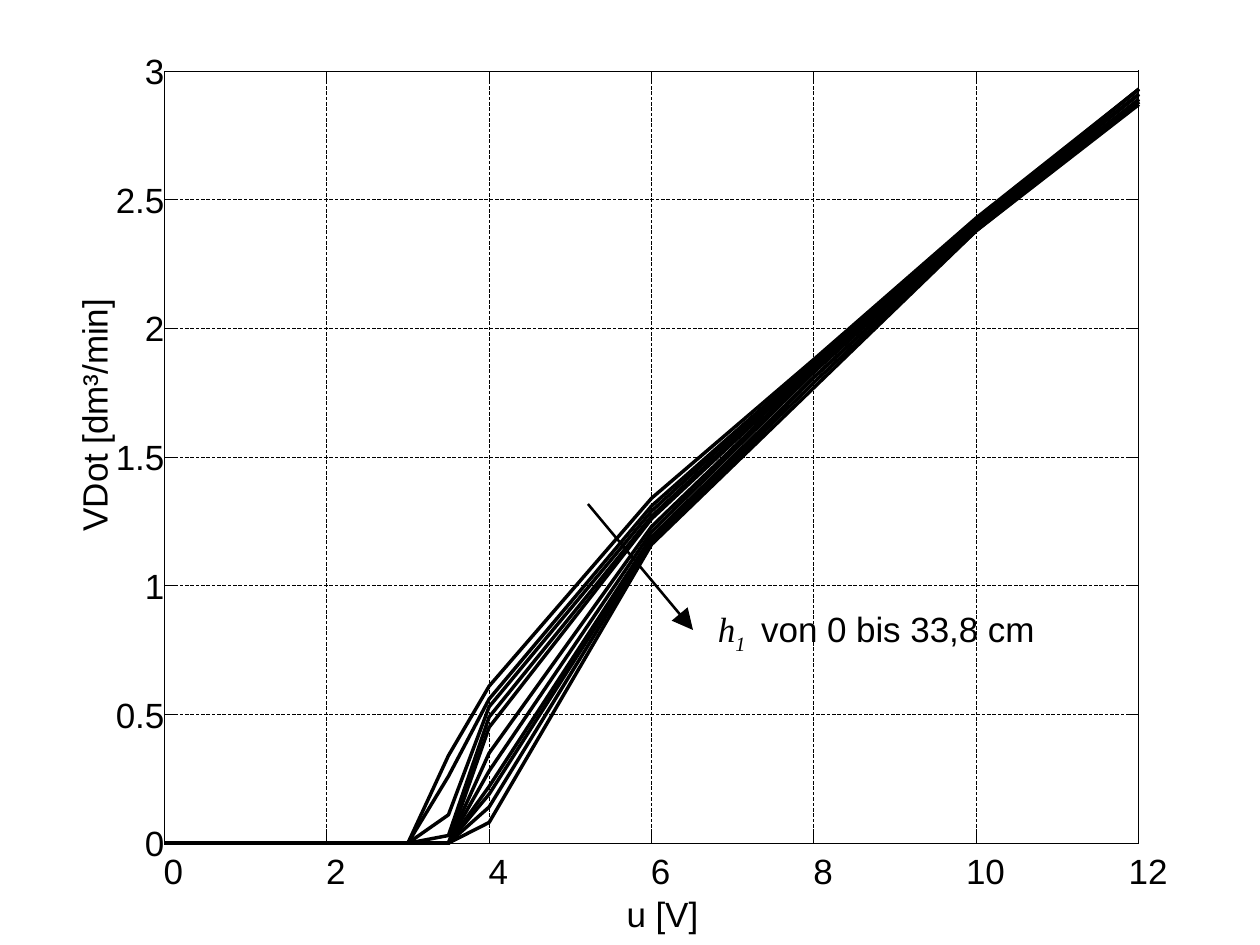
from dataclasses import dataclass
from lxml.etree import SubElement
from pptx import Presentation
from pptx.dml.color import RGBColor
from pptx.enum.dml import MSO_LINE
from pptx.enum.shapes import MSO_CONNECTOR, MSO_SHAPE
from pptx.enum.text import MSO_AUTO_SIZE, PP_ALIGN
from pptx.oxml.ns import qn
from pptx.util import Pt

VOLTS = [0, 2, 3, 3.5, 4, 6, 8, 10, 12]
FLOWS = [
    [0, 0, 0, 0.34, 0.61, 1.34, 1.88, 2.43, 2.93],
    [0, 0, 0, 0.26, 0.56, 1.31, 1.87, 2.42, 2.93],
    [0, 0, 0, 0.11, 0.53, 1.29, 1.87, 2.42, 2.93],
    [0, 0, 0, 0.03, 0.49, 1.27, 1.86, 2.42, 2.91],
    [0, 0, 0, 0, 0.45, 1.26, 1.85, 2.41, 2.91],
    [0, 0, 0, 0, 0.35, 1.23, 1.84, 2.4, 2.91],
    [0, 0, 0, 0, 0.28, 1.21, 1.83, 2.4, 2.89],
    [0, 0, 0, 0, 0.22, 1.19, 1.81, 2.39, 2.89],
    [0, 0, 0, 0, 0.19, 1.18, 1.81, 2.39, 2.88],
    [0, 0, 0, 0, 0.14, 1.17, 1.79, 2.38, 2.88],
    [0, 0, 0, 0, 0.08, 1.16, 1.77, 2.38, 2.87],
]
X_TICKS = ["0", "2", "4", "6", "8", "10", "12"]
Y_TICKS = ["0", "0.5", "1", "1.5", "2", "2.5", "3"]
X_TITLE = "u [V]"
Y_TITLE = "VDot [dm³/min]"


@dataclass
class Theme:
    ink: RGBColor = RGBColor(0, 0, 0)
    paper: RGBColor = RGBColor(255, 255, 255)
    sans: str = "Arial"
    serif: str = "Times New Roman"
    size: float = 10
    gap_size: float = 18
    hair: float = 0
    arrow: float = 0.75
    curve: float = 1


T = Theme()
NOTE = [
    ("h", dict(font=T.serif, italic=True)),
    ("1", dict(font=T.serif, italic=True, baseline=-25000)),
    (" ", dict(font=T.serif, size=T.gap_size)),
    ("von 0 bis 33,8 cm", {}),
]
LEFT, TOP, RIGHT, BOTTOM = 46.9, 20.3, 325.4, 240.9
TICK = 2.8
LABEL_H = 12.2


def px(volts):
    return LEFT + (RIGHT - LEFT) * volts / 12


def py(flow):
    return BOTTOM - (BOTTOM - TOP) * flow / 3


def label_width(text):
    return 2 + sum(2.78 if ch == "." else 5.56 for ch in text)


def add_run(p, text, font=T.sans, size=T.size, italic=False, baseline=0):
    r = p.add_run()
    r.text = text
    r.font.name, r.font.size, r.font.italic = font, Pt(size), italic
    r.font.color.rgb = T.ink
    if baseline:
        r.font._element.set("baseline", str(baseline))


def add_text(s, runs, x, y, w, h=LABEL_H, inset=(0, 0), rotation=0, align=PP_ALIGN.LEFT):
    sp = s.shapes.add_textbox(Pt(x), Pt(y), Pt(w), Pt(h))
    sp.rotation = rotation
    tf = sp.text_frame
    tf.word_wrap = True
    tf.auto_size = MSO_AUTO_SIZE.NONE
    tf.margin_left = tf.margin_right = Pt(inset[0])
    tf.margin_top = tf.margin_bottom = Pt(inset[1])
    p = tf.paragraphs[0]
    p.alignment = align
    for text, fmt in runs:
        add_run(p, text, **fmt)


def set_line(sp, width, color=T.ink, dash=None):
    sp.line.color.rgb = color
    sp.line._get_or_add_ln().set("w", str(Pt(width)))
    if dash:
        sp.line.dash_style = dash


def add_line(s, x1, y1, x2, y2, width=T.hair, dash=None):
    cn = s.shapes.add_connector(MSO_CONNECTOR.STRAIGHT, Pt(x1), Pt(y1), Pt(x2), Pt(y2))
    set_line(cn, width, dash=dash)
    SubElement(cn._element.spPr, qn("a:effectLst"))
    return cn


def add_path(s, points, width):
    pts = [(Pt(x), Pt(y)) for x, y in points]
    fb = s.shapes.build_freeform(*pts[0], scale=1.0)
    fb.add_line_segments(pts[1:], close=False)
    sp = fb.convert_to_shape()
    sp.shadow.inherit = False
    sp.fill.background()
    set_line(sp, width)


def draw_axes(s):
    sp = s.shapes.add_shape(MSO_SHAPE.RECTANGLE, Pt(LEFT), Pt(TOP), Pt(RIGHT - LEFT), Pt(BOTTOM - TOP))
    sp.shadow.inherit = False
    sp.fill.background()
    set_line(sp, T.hair, T.paper)
    for text in X_TICKS:
        x, w = px(float(text)), label_width(text)
        add_line(s, x, BOTTOM, x, TOP, dash=MSO_LINE.ROUND_DOT)
        add_line(s, x, BOTTOM, x, BOTTOM - TICK)
        add_line(s, x, TOP, x, TOP + TICK)
        add_text(s, [(text, {})], x + 2.6 - w / 2, BOTTOM + 1.9, w, align=PP_ALIGN.CENTER)
    for text in Y_TICKS:
        y, w = py(float(text)), label_width(text)
        add_line(s, LEFT, y, RIGHT, y, dash=MSO_LINE.ROUND_DOT)
        add_line(s, LEFT, y, LEFT + TICK, y)
        add_line(s, RIGHT, y, RIGHT - TICK, y)
        add_text(s, [(text, {})], LEFT - w, y - 6.1, w, align=PP_ALIGN.RIGHT)
    add_line(s, LEFT, TOP, RIGHT, TOP)
    add_path(s, [(LEFT, BOTTOM), (RIGHT, BOTTOM), (RIGHT, TOP)], T.hair)
    add_line(s, LEFT, BOTTOM, LEFT, TOP)


def main():
    """Build the slide with the pump characteristic curves."""
    prs = Presentation()
    prs.slide_width, prs.slide_height = Pt(360), Pt(270)
    s = prs.slides.add_slide(prs.slide_layouts[6])
    draw_axes(s)
    for flows in FLOWS:
        add_path(s, [(px(u), py(v)) for u, v in zip(VOLTS, flows)], T.curve)
    add_text(s, [(X_TITLE, {})], 179, 255, 24)
    add_text(s, [(Y_TITLE, {})], -9.1, 109.7, 72, rotation=270)
    arrow = add_line(s, 198, 180, 168, 144, T.arrow)
    SubElement(arrow.line._get_or_add_ln(), qn("a:headEnd"), type="triangle")
    add_text(s, NOTE, 198, 162, 112, 28.8, inset=(7.2, 3.6))
    prs.save("out.pptx")


if __name__ == "__main__":
    main()
